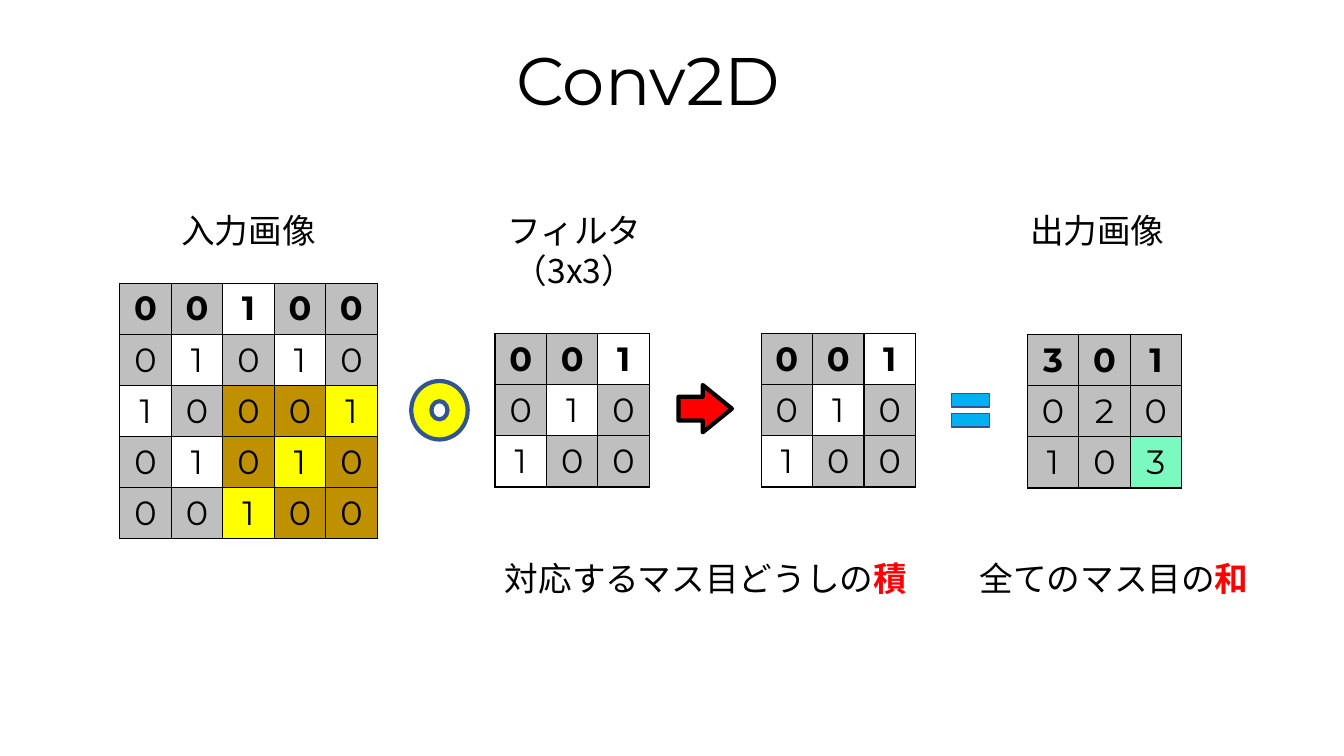
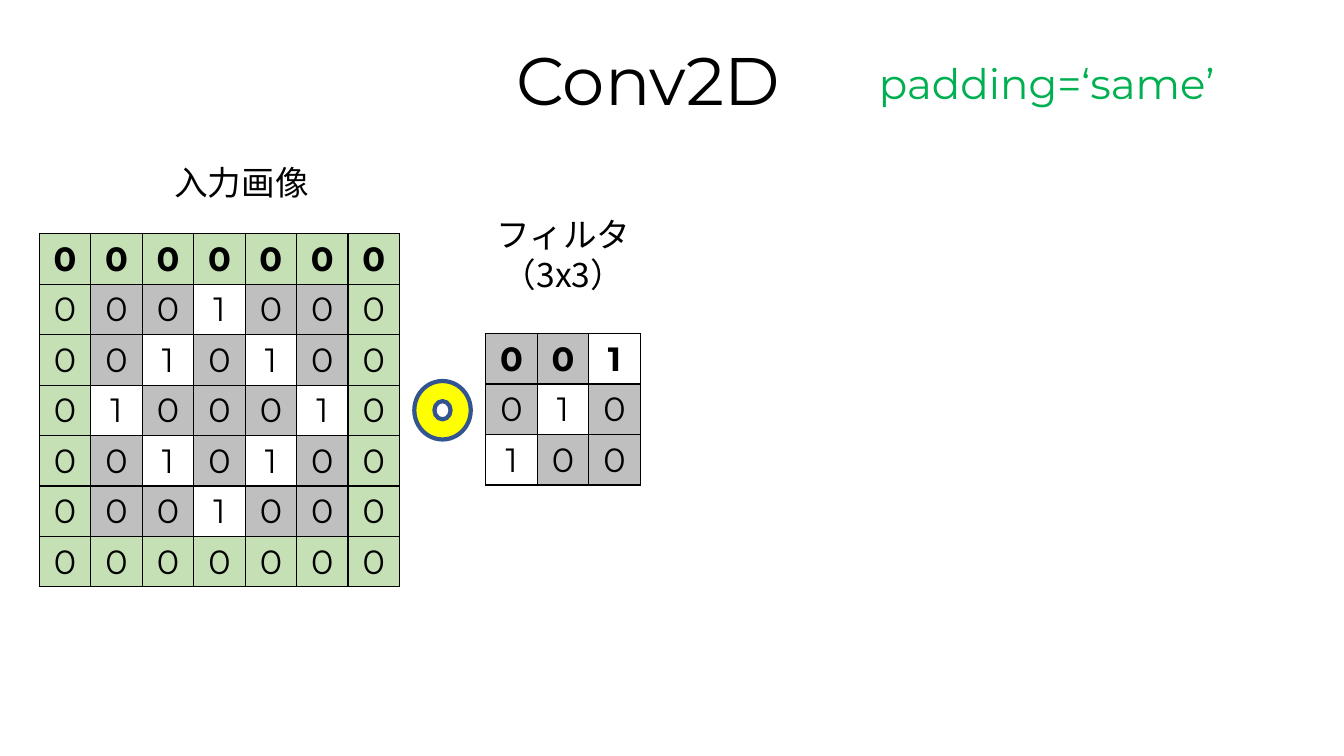
"""Build two slides that explain Conv2D with number grids."""
from lxml.etree import SubElement
from pptx import Presentation
from pptx.dml.color import RGBColor
from pptx.enum.shapes import MSO_SHAPE as Shape
from pptx.enum.text import MSO_ANCHOR as Anchor, MSO_AUTO_SIZE as AutoSize, PP_ALIGN as Align
from pptx.oxml.ns import qn
from pptx.util import Inches, Pt

BLACK = RGBColor(0x00, 0x00, 0x00)
WHITE = RGBColor(0xFF, 0xFF, 0xFF)
GREY = RGBColor(0xBF, 0xBF, 0xBF)
OCHRE = RGBColor(0xBF, 0x90, 0x00)
YELLOW = RGBColor(0xFF, 0xFF, 0x00)
MINT = RGBColor(0x7A, 0xFA, 0xC0)
PALE_GREEN = RGBColor(0xC5, 0xE0, 0xB4)
GREEN = RGBColor(0x00, 0xB0, 0x50)
RED = RGBColor(0xFF, 0x00, 0x00)
SKY = RGBColor(0x00, 0xB0, 0xF0)
NAVY = RGBColor(0x32, 0x54, 0x91)

LATIN = "Montserrat"
JAPANESE = "Noto Sans CJK JP"

INPUT = ["00100", "01010", "10001", "01010", "00100"]
FILTER = ["001", "010", "100"]
OUTPUT = ["301", "020", "103"]
PADDED = ["0" * 7, *(f"0{row}0" for row in INPUT), "0" * 7]


def plain(row, column, digit):
    """Shade ones white and zeros grey."""
    return WHITE if digit == "1" else GREY


def window(row, column, digit):
    """Highlight the last 3x3 window of the input."""
    if min(row, column) < 2:
        return plain(row, column, digit)
    return YELLOW if digit == "1" else OCHRE


def result(row, column, digit):
    """Mark the last cell of the output."""
    return MINT if row == column == 2 else GREY


def padding(row, column, digit):
    """Mark the outer ring of the padded input."""
    on_ring = {row, column} & {0, len(PADDED) - 1}
    return PALE_GREEN if on_ring else plain(row, column, digit)


class Deck:
    """Hold the style and the current page, with lengths in percent of the slide."""

    cell_width, cell_height = 3.83, 6.67

    def __init__(self):
        """Start an empty wide deck."""
        self.deck = Presentation()
        self.deck.slide_width, self.deck.slide_height = Inches(13.33), Inches(7.5)
        self.page = None

    def area(self, left, top, width, height):
        """Turn shares into slide lengths."""
        across, down = self.deck.slide_width / 100, self.deck.slide_height / 100
        return [round(length) for length in
                (left * across, top * down, width * across, height * down)]

    def span(self, para, text, size=24, font=LATIN, color=BLACK, bold=False):
        """Add one formatted run."""
        span = para.add_run()
        span.text = text
        span.font.size, span.font.name, span.font.bold = Pt(size), font, bold
        span.font.color.rgb = color
        SubElement(span.font._element, qn("a:ea"), typeface=font)

    def heading(self, box, text, size, color, spacing):
        """Fill a box with one heading line."""
        para = box.text_frame.paragraphs[0]
        para.alignment, para.line_spacing, para.space_before = Align.LEFT, spacing, Pt(10)
        self.span(para, text, size, color=color)

    def add_page(self, title):
        """Add a page with the shared title style."""
        self.page = self.deck.slides.add_slide(self.deck.slide_layouts[5])
        box = self.page.shapes.title
        box.left, box.top, box.width, box.height = self.area(37.65, 6.53, 24.23, 10.4)
        frame = box.text_frame
        frame.auto_size, frame.vertical_anchor = AutoSize.NONE, Anchor.TOP
        self.heading(box, title, 48, BLACK, 0.8)

    def side_note(self, text):
        """Add the green note beside the title."""
        box = self.page.shapes.add_textbox(*self.area(64.65, 8.27, 30.9, 6.93))
        box.text_frame.word_wrap = True
        box.text_frame.vertical_anchor = Anchor.MIDDLE
        self.heading(box, text, 30, GREEN, 0.7)

    def label(self, left, top, width, *lines, accent="", align=Align.LEFT):
        """Add a Japanese label, ending in a red accent if given."""
        height = 12.13 if len(lines) > 1 else 6.67
        box = self.page.shapes.add_textbox(*self.area(left, top, width, height))
        frame = box.text_frame
        frame.word_wrap, frame.auto_size = not accent, AutoSize.SHAPE_TO_FIT_TEXT
        for index, line in enumerate(lines):
            para = frame.add_paragraph() if index else frame.paragraphs[0]
            para.alignment = align
            self.span(para, line, font=JAPANESE)
        if accent:
            self.span(para, accent, font=JAPANESE, color=RED, bold=True)

    def filter_label(self, left, top):
        """Add the two-line filter label."""
        self.label(left, top, 14.7, "フィルタ", "（3x3）", align=Align.CENTER)

    def symbol(self, kind, area, fill, line, weight, *adjustments):
        """Add an operator symbol."""
        shape = self.page.shapes.add_shape(kind, *self.area(*area))
        shape.shadow.inherit = False
        shape.fill.solid()
        shape.fill.fore_color.rgb = fill
        shape.line.color.rgb, shape.line.width = line, Pt(weight)
        for index, value in enumerate(adjustments):
            shape.adjustments[index] = value

    def product_sign(self, left):
        """Add the yellow ring for the element-wise product."""
        self.symbol(Shape.DONUT, (left, 50.4, 4.2, 7.73), YELLOW, NAVY, 3, 0.357)

    def border(self, cell):
        """Draw thin black lines around a cell."""
        properties = cell._tc.get_or_add_tcPr()
        for side in ("lnL", "lnR", "lnT", "lnB"):
            line = SubElement(properties, qn(f"a:{side}"), w=str(Pt(1)))
            SubElement(SubElement(line, qn("a:solidFill")), qn("a:srgbClr"), val=str(BLACK))

    def matrix(self, left, top, rows, shade=plain):
        """Add a number grid with a bold first row."""
        count, columns = len(rows), len(rows[0])
        area = self.area(left, top, columns * self.cell_width, count * self.cell_height)
        table = self.page.shapes.add_table(count, columns, *area).table
        table.first_row = table.horz_banding = False
        for row, digits in enumerate(rows):
            for column, digit in enumerate(digits):
                cell = table.cell(row, column)
                self.border(cell)
                cell.fill.solid()
                cell.fill.fore_color.rgb = shade(row, column, digit)
                cell.vertical_anchor = Anchor.MIDDLE
                para = cell.text_frame.paragraphs[0]
                para.alignment = Align.CENTER
                self.span(para, digit, bold=row == 0)


def product_page(deck):
    """Show one step of the convolution."""
    deck.add_page("Conv2D")
    deck.matrix(8.92, 37.47, INPUT, window)
    deck.matrix(36.83, 44.13, FILTER)
    deck.product_sign(30.6)
    deck.symbol(Shape.RIGHT_ARROW, (50.48, 50.93, 3.98, 6.27), RED, BLACK, 3, 0.5, 0.616)
    deck.symbol(Shape.MATH_EQUAL, (70.28, 50.53, 3.83, 7.47), SKY, NAVY, 1)
    deck.matrix(56.63, 44.13, FILTER)
    deck.matrix(76.43, 44.27, OUTPUT, result)
    deck.label(12.75, 27.07, 12.98, "入力画像")
    deck.filter_label(35.4, 27.07)
    deck.label(75.9, 27.07, 12.98, "出力画像")
    deck.label(36.83, 73.2, 31.8, "対応するマス目どうしの", accent="積")
    deck.label(72.15, 73.2, 21.68, "全てのマス目の", accent="和")


def padding_page(deck):
    """Show the input padded with zeros."""
    deck.add_page("Conv2D")
    deck.side_note("padding=‘same’")
    deck.matrix(36.15, 44.13, FILTER)
    deck.product_sign(30.83)
    deck.label(12.23, 20.8, 12.98, "入力画像")
    deck.filter_label(34.58, 27.6)
    deck.matrix(2.93, 30.93, PADDED, padding)


conv_deck = Deck()
product_page(conv_deck)
padding_page(conv_deck)
conv_deck.deck.save("out.pptx")
